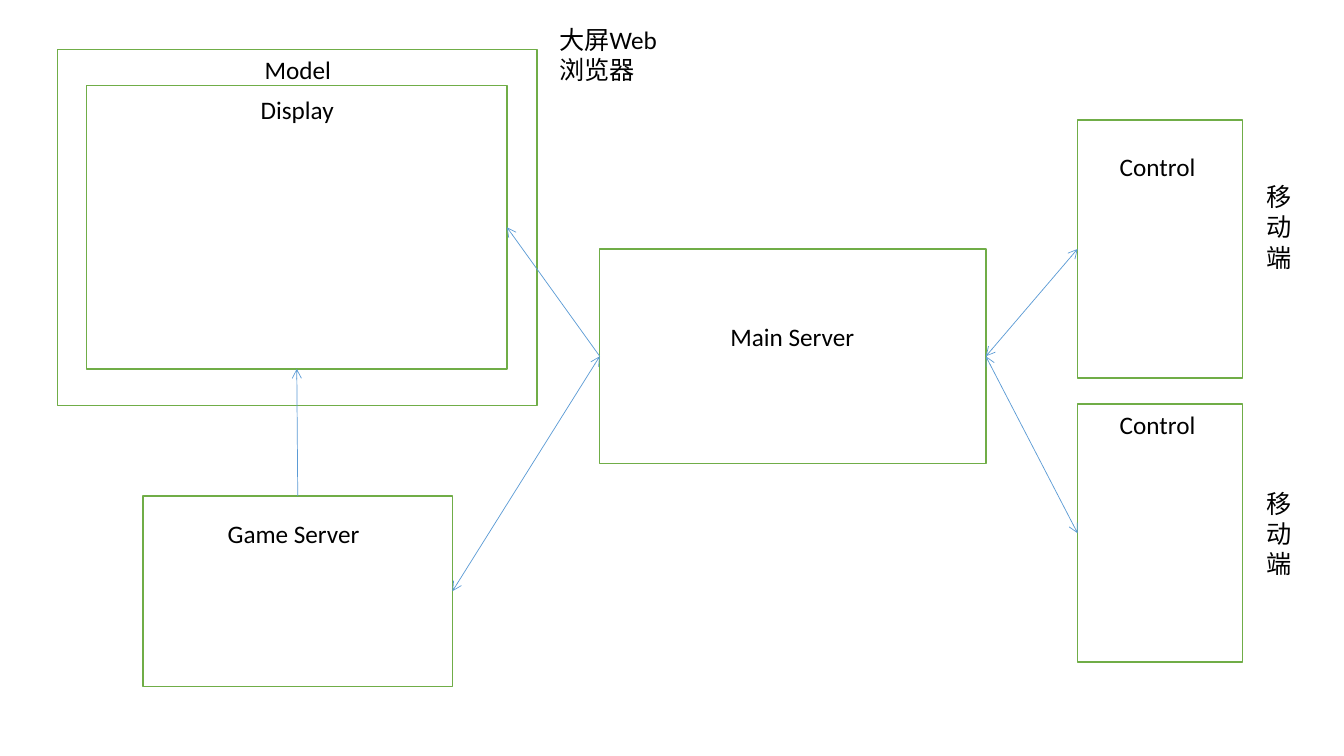
from pptx import Presentation
from pptx.dml.color import RGBColor
from pptx.enum.shapes import MSO_CONNECTOR as Connector, MSO_SHAPE as Shape
from pptx.enum.text import MSO_AUTO_SIZE as AutoSize, PP_ALIGN as Align
from pptx.oxml.ns import qn
from pptx.util import Pt
from lxml.etree import SubElement

SLIDE_SIZE = (960, 540)
TOP, LEFT, BOTTOM, RIGHT = range(4)
CONTROL_LEFT, CONTROL_SIZE = 769.7, (118.1, 184.3)

NODES = {
    "model": (41, 35.3, 342.7, 254.2),
    "display": (61.9, 61.2, 300.2, 202.3),
    "control 1": (CONTROL_LEFT, 85.7, *CONTROL_SIZE),
    "control 2": (CONTROL_LEFT, 288.7, *CONTROL_SIZE),
    "main server": (428.4, 177.8, 275.8, 153.4),
    "game server": (102.2, 354.2, 221, 136.1),
}
LABELS = [
    ("Model", (141.1, 35.3, 143.3, 29), Align.CENTER),
    ("Display", (145.4, 64.1, 133.9, 29), Align.CENTER),
    ("Control", (792.7, 104.4, 71.3, 29), Align.LEFT),
    ("Control", (792.7, 288.7, 71.3, 29), Align.LEFT),
    ("Main Server", (503.3, 226.1, 125.3, 29), Align.CENTER),
    ("Game Server", (155.5, 366.5, 128.2, 29), Align.LEFT),
    ("移动端", (897.8, 126, 39.6, 72.7), Align.LEFT),
    ("移动端", (897.8, 344.9, 39.6, 72.7), Align.LEFT),
    ("大屏Web浏览器", (392.4, 13.7, 97.2, 51), Align.LEFT),
]
LINKS = [
    ("control 1", LEFT, "main server", RIGHT, ("headEnd", "tailEnd")),
    ("control 2", LEFT, "main server", RIGHT, ("headEnd", "tailEnd")),
    ("main server", LEFT, "display", RIGHT, ("tailEnd",)),
    ("game server", RIGHT, "main server", LEFT, ("headEnd", "tailEnd")),
    ("game server", TOP, "display", BOTTOM, ("tailEnd",)),
]


def color(value):
    return RGBColor.from_string(value)


def apply(target, values):
    for attribute, value in values.items():
        setattr(target, attribute, value)


def points(values):
    return [Pt(value) for value in values]


FRAME_FORMAT = {"word_wrap": True, "auto_size": AutoSize.SHAPE_TO_FIT_TEXT}
FONT_FORMAT = {"name": "Calibri", "size": Pt(18)}


def add_node(slide, bounds):
    node = slide.shapes.add_shape(Shape.RECTANGLE, *points(bounds))
    node.shadow.inherit = False
    node.fill.solid()
    node.fill.fore_color.rgb = color("FFFFFF")
    node.line.color.rgb = color("70AD47")
    node.line.width = Pt(1)
    return node


def add_label(slide, wording, bounds, alignment):
    frame = slide.shapes.add_textbox(*points(bounds)).text_frame
    apply(frame, FRAME_FORMAT)
    paragraph = frame.paragraphs[0]
    paragraph.alignment = alignment
    run = paragraph.add_run()
    run.text = wording
    apply(run.font, FONT_FORMAT)
    run.font.color.rgb = color("000000")


def add_link(slide, source, source_side, target, target_side, arrowheads):
    link = slide.shapes.add_connector(Connector.STRAIGHT, 0, 0, 0, 0)
    link.begin_connect(source, source_side)
    link.end_connect(target, target_side)
    link.line.color.rgb = color("5B9BD5")
    link.line.width = Pt(0.5)
    outline = link.line._get_or_add_ln()
    for end in arrowheads:
        SubElement(outline, qn(f"a:{end}"), type="arrow")
    SubElement(link._element.spPr, qn("a:effectLst"))


def main():
    deck = Presentation()
    deck.slide_width, deck.slide_height = points(SLIDE_SIZE)
    slide = deck.slides.add_slide(deck.slide_layouts[6])
    nodes = {name: add_node(slide, bounds) for name, bounds in NODES.items()}
    for label in LABELS:
        add_label(slide, *label)
    for source, source_side, target, target_side, arrowheads in LINKS:
        add_link(slide, nodes[source], source_side, nodes[target], target_side, arrowheads)
    deck.save("out.pptx")


if __name__ == "__main__":
    main()
